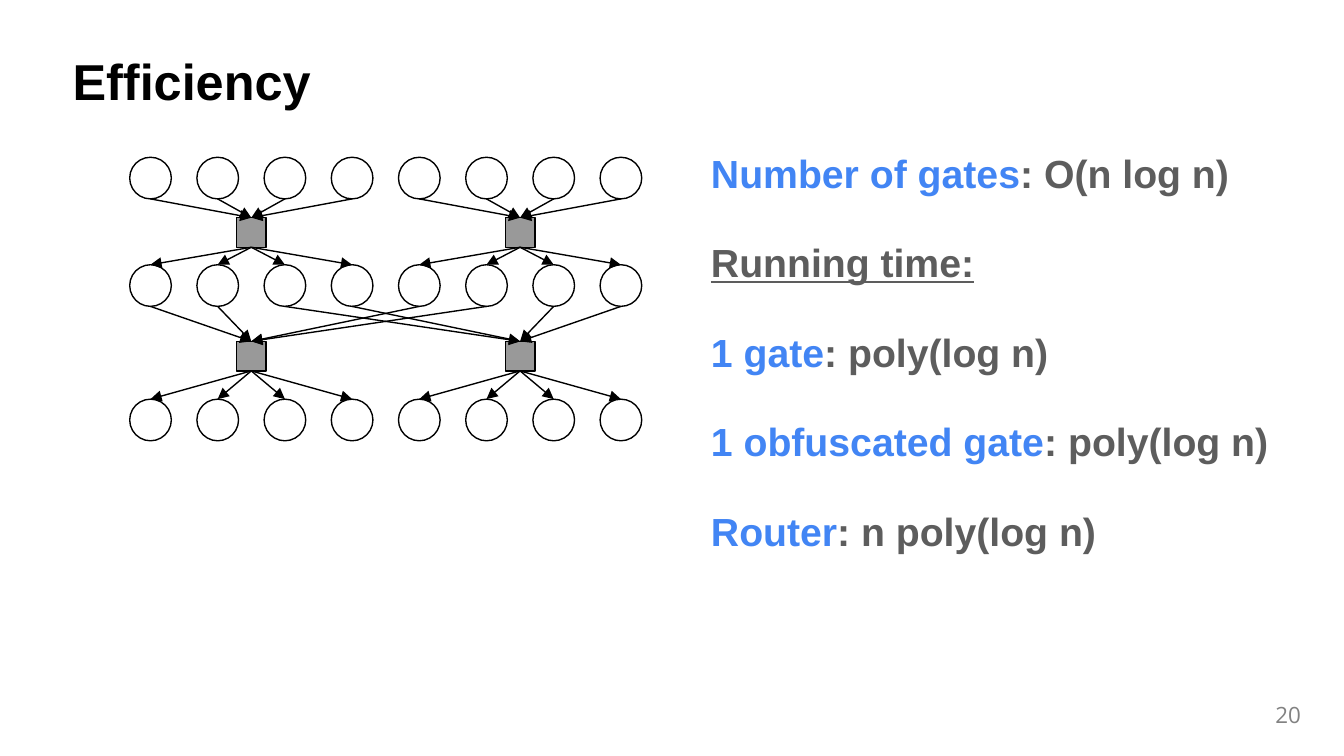
"""Build the slide on router efficiency, with its gate network."""
from lxml import etree
from pptx import Presentation
from pptx.dml.color import RGBColor
from pptx.enum.shapes import MSO_CONNECTOR, MSO_SHAPE
from pptx.enum.text import MSO_ANCHOR, MSO_AUTO_SIZE, PP_ALIGN
from pptx.oxml.ns import qn
from pptx.util import Inches, Pt

LINE = MSO_CONNECTOR.STRAIGHT
OVAL, RECT = MSO_SHAPE.OVAL, MSO_SHAPE.RECTANGLE
MIDDLE = MSO_ANCHOR.MIDDLE
FIXED = MSO_AUTO_SIZE.NONE
LEFT, RIGHT = PP_ALIGN.LEFT, PP_ALIGN.RIGHT

BLACK, WHITE, GRAY = "000000", "FFFFFF", "999999"
BLUE, DARK, PALE = "4285F4", "5D5D5D", "828282"

TITLE = "Efficiency"
NUMBER = "20"
FACTS = [
    ("Number of gates", ": O(n log n)"),
    ("", "Running time:"),
    ("1 gate", ": poly(log n)"),
    ("1 obfuscated gate", ": poly(log n)"),
    ("Router", ": n poly(log n)"),
]
FACT_TOP, FACT_STEP = 1.11, 2 / 3

NODE, GATE = 0.31, 0.22
NODE_TOPS = [1.17, 1.97, 2.97]
NODE_FILLS = [(WHITE, None), (None, None), (WHITE, None)]
GATE_TOPS = [1.62, 2.54]
NODE_MIDS = [1.12 + 0.5 * col for col in range(8)]
GATE_MIDS = [1.87, 3.87]
ROUTES = [[0, 0, 0, 0, 1, 1, 1, 1], [0, 0, 1, 1, 0, 0, 1, 1]]
HALVES = ROUTES[0]


def color(code):
    """Turn a hex string into a colour."""
    return RGBColor.from_string(code)


def style(box, text, size, font, code, align=LEFT, bold=True):
    """Write one formatted line into a box and return its paragraph."""
    frame = box.text_frame
    frame.word_wrap = True
    frame.auto_size = FIXED
    frame.vertical_anchor = MIDDLE
    frame.margin_left = frame.margin_right = Inches(0.04)
    frame.margin_top = frame.margin_bottom = Inches(0.04)
    para = frame.paragraphs[0]
    para.alignment = align
    for part in text:
        para.add_run().text = part
    para.font.size = Pt(size)
    para.font.name = font
    para.font.bold = bold
    para.font.color.rgb = color(code)
    return para


def add_box(slide, *place):
    """Add a text box at left, top, width and height in inches."""
    return slide.shapes.add_textbox(*map(Inches, place))


def add_mark(slide, kind, mid, top, size, fill):
    """Add an outlined node or gate centred on mid."""
    mark = slide.shapes.add_shape(
        kind, Inches(mid - size / 2), Inches(top), Inches(size), Inches(size))
    mark.shadow.inherit = False
    if fill:
        mark.fill.solid()
        mark.fill.fore_color.rgb = color(fill)
    else:
        mark.fill.background()
    mark.line.color.rgb = color(BLACK)
    mark.line.width = Pt(0.75)


def add_arrow(slide, *ends):
    """Add an arrow from x, y to x, y in inches."""
    arrow = slide.shapes.add_connector(LINE, *map(Inches, ends))
    arrow.line.color.rgb = color(BLACK)
    arrow.line.width = Pt(0.75)
    props = arrow.line._get_or_add_ln()
    etree.SubElement(props, qn("a:tailEnd"), type="triangle")
    etree.SubElement(arrow._element.spPr, qn("a:effectLst"))


def add_net(slide):
    """Draw the rows of nodes, the gates and the arrows between them."""
    for top, fills in zip(NODE_TOPS, NODE_FILLS):
        for col, mid in enumerate(NODE_MIDS):
            add_mark(slide, OVAL, mid, top, NODE, fills[col % 2])
    for top in GATE_TOPS:
        for mid in GATE_MIDS:
            add_mark(slide, RECT, mid, top, GATE, GRAY)
    for row, (top, route) in enumerate(zip(GATE_TOPS, ROUTES)):
        above, below = NODE_TOPS[row] + NODE, NODE_TOPS[row + 1]
        for mid, goal, half in zip(NODE_MIDS, route, HALVES):
            add_arrow(slide, mid, above, GATE_MIDS[goal], top)
            add_arrow(slide, GATE_MIDS[half], top + GATE, mid, below)


def main():
    """Build and save the slide."""
    deck = Presentation()
    deck.slide_width, deck.slide_height = Inches(10), Inches(10 * 9 / 16)
    slide = deck.slides.add_slide(deck.slide_layouts[5])

    title = slide.shapes.title
    title.left, title.top = Inches(0.5), Inches(0.36)
    title.width, title.height = Inches(8), Inches(0.53)
    style(title, [TITLE], 27, "Arial", BLACK).line_spacing = 0.9

    for row, (name, rest) in enumerate(FACTS):
        box = add_box(slide, 5.25, FACT_TOP + row * FACT_STEP, 4.5, 0.39)
        parts = [name, rest] if name else [rest]
        para = style(box, parts, 21, "Arial", DARK)
        para.line_spacing = 0.9
        if name:
            para.runs[0].font.color.rgb = color(BLUE)
        else:
            para.font.underline = True

    add_net(slide)
    box = add_box(slide, 9.43, 5.18, 0.29, 0.28)
    style(box, [NUMBER], 12, "Open Sans", PALE, RIGHT, False)
    deck.save("out.pptx")


if __name__ == "__main__":
    main()
